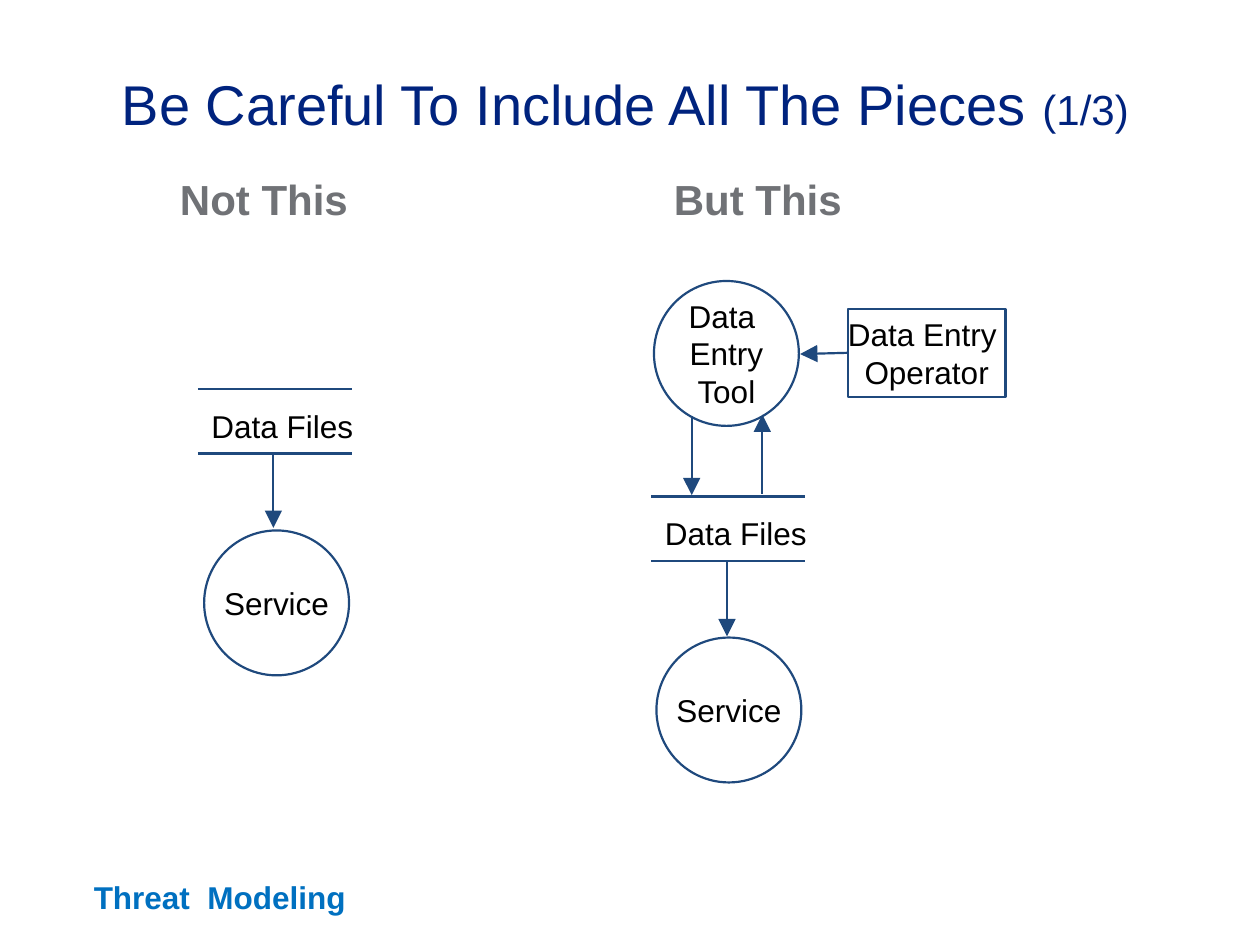
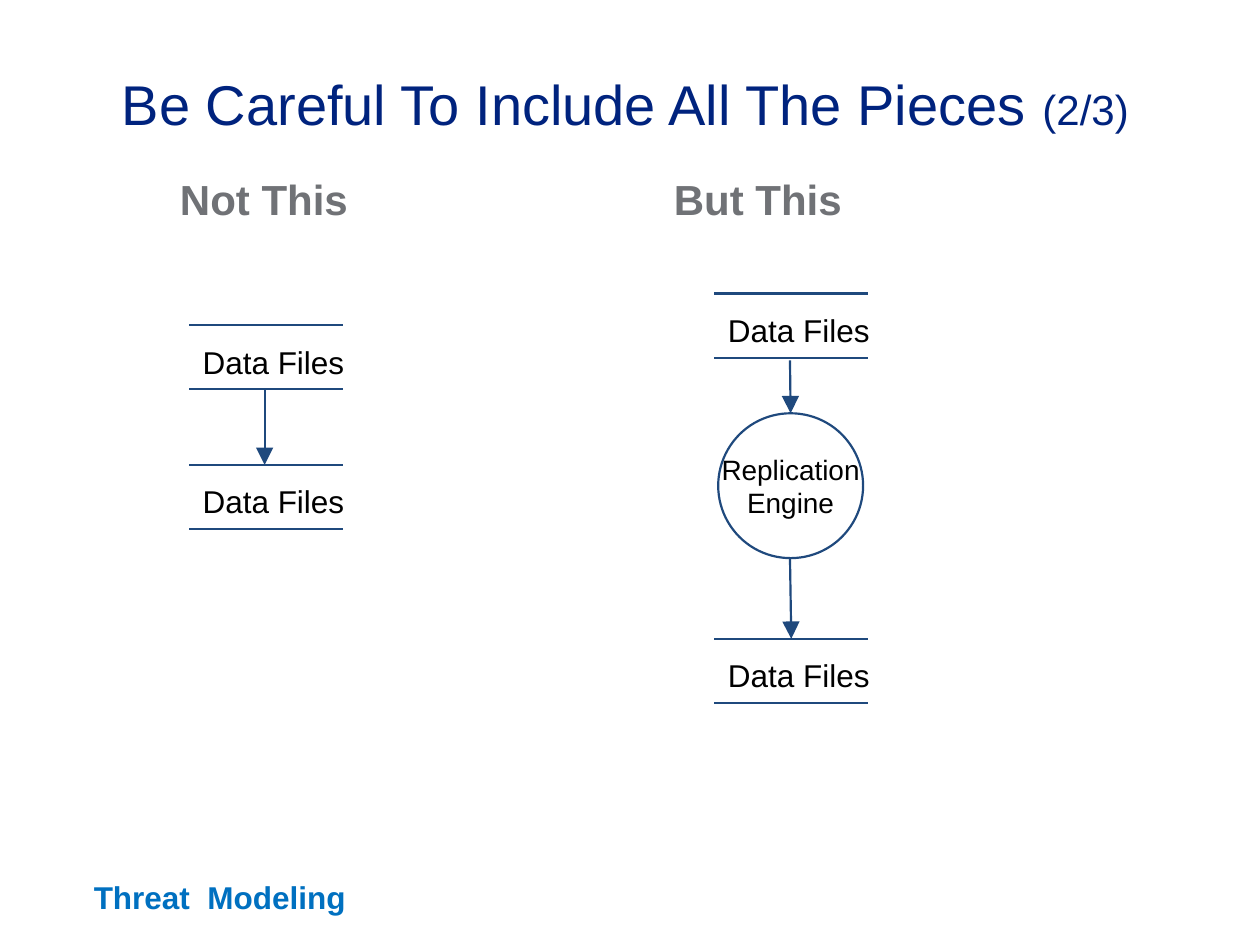
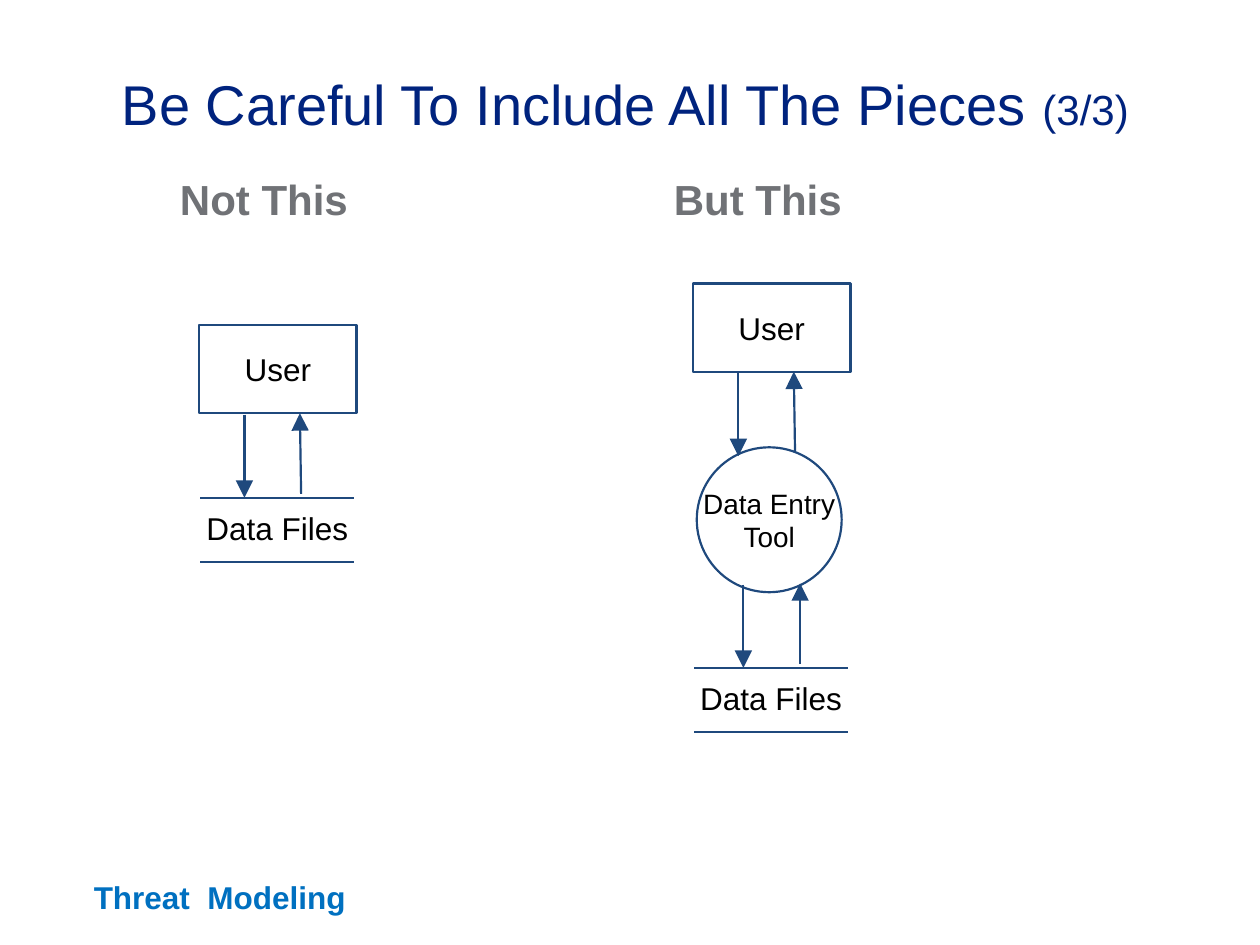
from dataclasses import dataclass

from lxml import etree
from pptx import Presentation
from pptx.dml.color import RGBColor
from pptx.enum.shapes import MSO_CONNECTOR, MSO_SHAPE
from pptx.enum.text import MSO_ANCHOR, PP_ALIGN
from pptx.oxml.ns import qn
from pptx.util import Inches, Pt

STRAIGHT = MSO_CONNECTOR.STRAIGHT
RECT, OVAL = MSO_SHAPE.RECTANGLE, MSO_SHAPE.OVAL
MIDDLE = MSO_ANCHOR.MIDDLE
LEFT, CENTER = PP_ALIGN.LEFT, PP_ALIGN.CENTER
TOP_SIDE, LEFT_SIDE = 0, 1


@dataclass(frozen=True)
class Theme:
    font: str = "Arial"
    title: str = "00237E"
    heading: str = "707276"
    footer: str = "0070C0"
    line: str = "1F497D"
    text: str = "000000"
    title_pt: int = 32
    heading_pt: int = 24
    body_pt: int = 18
    small_pt: int = 16
    line_pt: float = 1.25


THEME = Theme()

TITLE = "Be Careful To Include All The Pieces "
FOOTER = "Threat  Modeling"
HEADINGS = [("Not This", 1.33), ("But This", 5.25)]

CIRCLE = 1.15
BOX_W, BOX_H = 1.25, 0.7
STORE_W, STORE_H = 1.22, 0.51
STORE_TEXT = "Data Files"
BELOW_RIGHT, ABOVE_LEFT = (0.01, 0.09), (-0.05, 0.04)

OPERATOR = "Data Entry \vOperator"
REPLICATION = "Replication\nEngine"

# circles: text, left, top, size; boxes: text, left, top; stores: left, top
# arrows: from x, from y, to x, to y; joins: arrow index -> (end, node, side)
SLIDES = [
    {
        "circles": [
            ("Service", 1.62, 4.21, THEME.body_pt),
            ("Service", 5.21, 5.06, THEME.body_pt),
            ("Data \nEntry\nTool", 5.19, 2.23, THEME.body_pt),
        ],
        "boxes": [(OPERATOR, 6.73, 2.45)],
        "stores": [(1.57, 3.09), (5.17, 3.94)],
        "label_shift": BELOW_RIGHT,
        "arrows": [
            (2.17, 3.6, 2.17, 4.19),
            (5.77, 4.45, 5.77, 5.05),
            (6.73, 2.8, 6.35, 2.81),
            (5.49, 3.3, 5.49, 3.93),
            (6.05, 3.92, 6.05, 3.29),
        ],
        "joins": {2: ("begin", OPERATOR, LEFT_SIDE)},
    },
    {
        "circles": [(REPLICATION, 5.7, 3.28, THEME.small_pt)],
        "boxes": [],
        "stores": [(1.5, 2.58), (1.5, 3.69), (5.67, 2.33), (5.67, 5.07)],
        "label_shift": BELOW_RIGHT,
        "arrows": [
            (2.1, 3.09, 2.1, 3.69),
            (6.27, 2.86, 6.28, 3.3),
            (6.27, 4.43, 6.28, 5.07),
        ],
        "joins": {1: ("end", REPLICATION, TOP_SIDE)},
    },
    {
        "circles": [("Data Entry\nTool", 5.53, 3.55, THEME.small_pt)],
        "boxes": [("User", 1.58, 2.58), ("User", 5.5, 2.25)],
        "stores": [(1.59, 3.95), (5.51, 5.3)],
        "label_shift": ABOVE_LEFT,
        "arrows": [
            (1.94, 3.29, 1.94, 3.95),
            (2.39, 3.92, 2.38, 3.28),
            (5.86, 2.96, 5.86, 3.62),
            (6.31, 3.59, 6.3, 2.95),
            (5.9, 4.64, 5.9, 5.3),
            (6.35, 5.27, 6.35, 4.63),
        ],
        "joins": {},
    },
]


def rgb(color):
    return RGBColor.from_string(color)


def set_text(tf, text, size, color, bold=False, align=CENTER, wrap=False):
    tf.text = text
    tf.word_wrap = wrap
    for p in tf.paragraphs:
        p.alignment = align
        for r in p.runs:
            style_run(r, size, color, bold)


def style_run(r, size, color, bold=False):
    r.font.name = THEME.font
    r.font.size = Pt(size)
    r.font.bold = bold
    r.font.color.rgb = rgb(color)


def add_text(s, x, y, w, h, *args, **kwargs):
    sp = s.shapes.add_textbox(Inches(x), Inches(y), Inches(w), Inches(h))
    set_text(sp.text_frame, *args, **kwargs)
    return sp.text_frame


def add_node(s, kind, text, x, y, w, h, size):
    sp = s.shapes.add_shape(kind, Inches(x), Inches(y), Inches(w), Inches(h))
    sp.shadow.inherit = False
    sp.fill.background()
    sp.line.color.rgb = rgb(THEME.line)
    sp.line.width = Pt(THEME.line_pt)
    sp.text_frame.vertical_anchor = MIDDLE
    set_text(sp.text_frame, text, size, THEME.text)
    return sp


def add_line(s, x1, y1, x2, y2, arrow=False):
    line = s.shapes.add_connector(STRAIGHT, Inches(x1), Inches(y1), Inches(x2), Inches(y2))
    line.line.color.rgb = rgb(THEME.line)
    line.line.width = Pt(THEME.line_pt)
    props = line._element.spPr
    if arrow:
        etree.SubElement(props.find(qn("a:ln")), qn("a:tailEnd"),
                         type="triangle", w="lg", len="lg")
    etree.SubElement(props, qn("a:effectLst"))
    return line


def add_store(s, x, y, label_shift):
    """Draw a data store: a label between two horizontal rules."""
    for rule_y in (y, y + STORE_H):
        add_line(s, x, rule_y, x + STORE_W, rule_y)
    dx, dy = label_shift
    tf = add_text(s, x + dx, y + dy, 1.32, 0.4, STORE_TEXT, THEME.body_pt, THEME.text)
    tf.margin_left = tf.margin_right = 0


def add_frame(s, number):
    """Add the footer, title and column headings shared by all slides."""
    add_text(s, 0.58, 6.92, 2.33, 0.4, FOOTER, THEME.body_pt, THEME.footer,
             bold=True, wrap=True)
    tf = add_text(s, 0.87, 0.5, 9.13, 0.8, TITLE, THEME.title_pt, THEME.title,
                  align=LEFT, wrap=True)
    r = tf.paragraphs[0].add_run()
    r.text = f"({number}/{len(SLIDES)})"
    style_run(r, THEME.heading_pt, THEME.title)
    for text, x in HEADINGS:
        add_text(s, x, 1.33, 3, 0.67, text, THEME.heading_pt, THEME.heading,
                 bold=True, align=LEFT, wrap=True)


def add_diagram(s, content):
    nodes = {}
    for text, x, y, size in content["circles"]:
        nodes[text] = add_node(s, OVAL, text, x, y, CIRCLE, CIRCLE, size)
    for text, x, y in content["boxes"]:
        nodes[text] = add_node(s, RECT, text, x, y, BOX_W, BOX_H, THEME.body_pt)
    for x, y in content["stores"]:
        add_store(s, x, y, content["label_shift"])
    arrows = [add_line(s, *points, arrow=True) for points in content["arrows"]]
    for index, (end, node, side) in content["joins"].items():
        arrow = arrows[index]
        connect = arrow.begin_connect if end == "begin" else arrow.end_connect
        connect(nodes[node], side)


def main():
    prs = Presentation()
    prs.slide_width, prs.slide_height = Inches(10), Inches(7.5)
    blank = prs.slide_layouts[6]
    for number, content in enumerate(SLIDES, 1):
        s = prs.slides.add_slide(blank)
        add_frame(s, number)
        add_diagram(s, content)
    prs.save("out.pptx")


if __name__ == "__main__":
    main()
